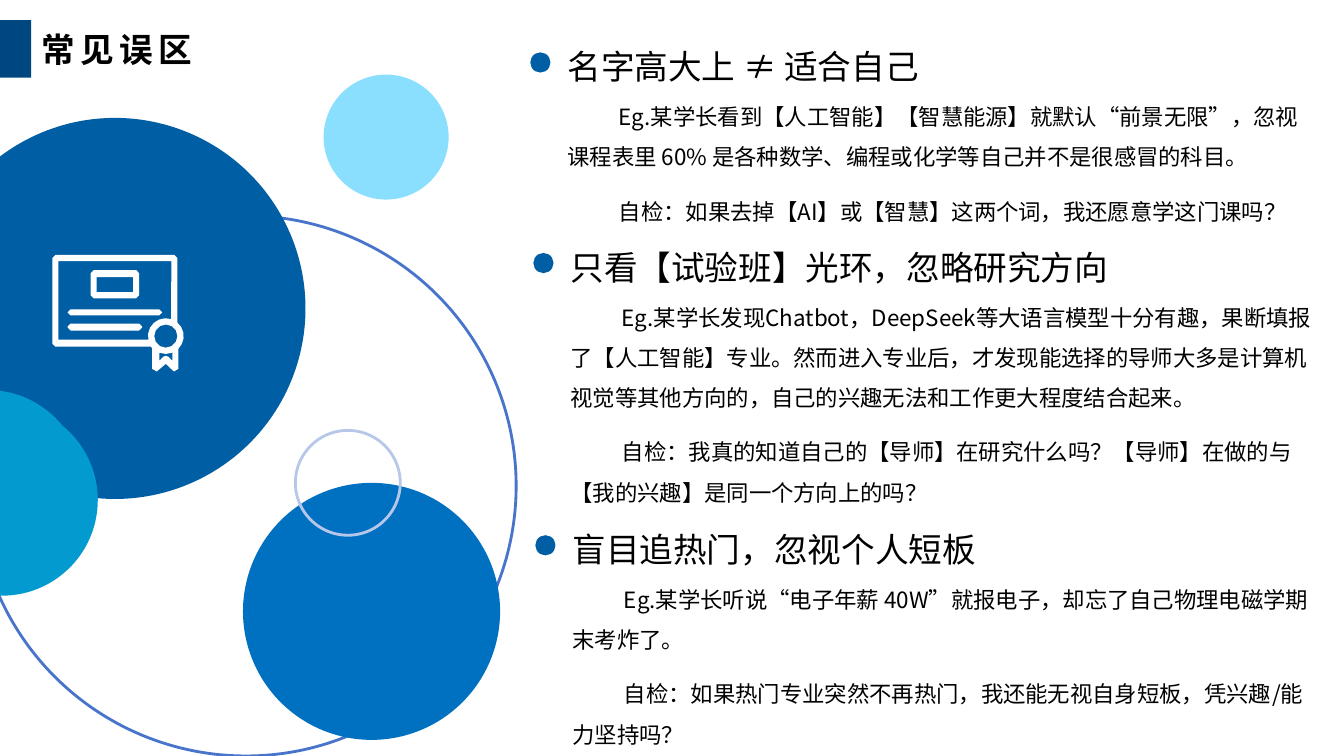
"""Builds the slide on common mistakes when choosing a major."""
from math import cos, radians, sin

from lxml import etree
from pptx import Presentation
from pptx.dml.color import RGBColor
from pptx.enum.shapes import MSO_SHAPE
from pptx.enum.text import MSO_ANCHOR
from pptx.oxml.ns import qn
from pptx.util import Pt

OVAL = MSO_SHAPE.OVAL
RECTANGLE = MSO_SHAPE.RECTANGLE
MIDDLE = MSO_ANCHOR.MIDDLE
PX = 9144
FONT = "Noto Sans CJK SC"
COLORS = {
    "black": "000000", "white": "FFFFFF", "navy": "00467F", "deep": "005EA4",
    "blue": "0070C0", "sky": "89DFFD", "cyan": "039ACF",
    "ring": "4874CB", "pale": "B6C7EA",
}


def add_text(shapes, text, left, top, width, height, size=16, bold=False,
             spacing=None, anchor=None, indent=0, line=None, gap=0):
    """Add a text box with one paragraph per line of text."""
    box = shapes.add_textbox(left * PX, top * PX, width * PX, height * PX)
    frame = box.text_frame
    frame.word_wrap = True
    if anchor is not None:
        frame.vertical_anchor = anchor
    for number, words in enumerate(text.split("\n")):
        para = frame.add_paragraph() if number else frame.paragraphs[0]
        para.space_before = Pt(gap if number else 0)
        if line:
            para.line_spacing = line
        if indent:
            para._p.get_or_add_pPr().set("indent", str(indent * PX))
        span = para.add_run()
        span.text = words
        span.font.name = FONT
        span.font.size = Pt(size)
        span.font.bold = bold
        span.font.color.rgb = RGBColor.from_string(COLORS["black"])
        properties = span._r.get_or_add_rPr()
        etree.SubElement(properties, qn("a:ea")).set("typeface", FONT)
        if spacing:
            properties.set("spc", str(spacing * 100))


def arc(x, y, radius, start, end):
    """Return points about 6 px apart along an arc, with angles in degrees."""
    sweep = radians(end - start)
    steps = max(1, round(abs(sweep) * radius / 6))
    angles = [radians(start) + sweep * step / steps for step in range(steps + 1)]
    return [(x + radius * cos(a), y + radius * sin(a)) for a in angles]


deck = Presentation()
deck.slide_width, deck.slide_height = 1333 * PX, 750 * PX
page = deck.slides.add_slide(deck.slide_layouts[6])

circles = [
    (-24, 214, 536, None, "ring"),
    (-75, 117, 378, "deep", None),
    (241, 479, 255, "blue", None),
    (321, 74, 124, "sky", None),
    (293, 427, 104, None, "pale"),
    (-107, 387, 190, "cyan", None),
    (-93, 401, 190, "cyan", None),
]
plain = [(page.shapes, OVAL, x, y, size, size, fill, line)
         for x, y, size, fill, line in circles]
plain.append((page.shapes, RECTANGLE, 0, 20, 31, 57, "navy", None))

sections = [
    (553, 41, 401, "名字高大上 ≠ 适合自己",
     "Eg.某学长看到【人工智能】【智慧能源】就默认“前景无限”，忽视课程表里 60% 是各种数学、编程或化学等自己并不是很感冒的科目。\n"
     "自检：如果去掉【AI】或【智慧】这两个词，我还愿意学这门课吗？"),
    (556, 240, 693, "只看【试验班】光环，忽略研究方向",
     "Eg.某学长发现Chatbot，DeepSeek等大语言模型十分有趣，果断填报了【人工智能】专业。然而进入专业后，才发现能选择的导师大多是计算机视觉等其他方向的，自己的兴趣无法和工作更大程度结合起来。\n"
     "自检：我真的知道自己的【导师】在研究什么吗？【导师】在做的与【我的兴趣】是同一个方向上的吗？"),
    (558, 520, 495, "盲目追热门，忽视个人短板",
     "Eg.某学长听说“电子年薪 40W”就报电子，却忘了自己物理电磁学期末考炸了。\n"
     "自检：如果热门专业突然不再热门，我还能无视自身短板，凭兴趣/能力坚持吗？"),
]
for left, top, width, heading, body in sections:
    group = page.shapes.add_group_shape()
    add_text(group.shapes, body, left, top + 43, 763, 129,
             indent=51, line=1.5, gap=10)
    add_text(group.shapes, heading, left, top, width, 43, size=24)
    plain.append((group.shapes, OVAL, left - 27, top + 11, 20, 20, "deep", None))

for shapes, kind, left, top, width, height, fill, line in plain:
    shape = shapes.add_shape(kind, left * PX, top * PX, width * PX, height * PX)
    shape.shadow.inherit = False
    if fill:
        shape.fill.solid()
        shape.fill.fore_color.rgb = RGBColor.from_string(COLORS[fill])
    else:
        shape.fill.background()
    if line:
        shape.line.color.rgb = RGBColor.from_string(COLORS[line])
        shape.line.width = Pt(2)
    else:
        shape.line.fill.background()

add_text(page.shapes, "常见误区", 31, 20, 1302, 57, size=24, bold=True,
         spacing=4, anchor=MIDDLE)

seal = (164.5, 333.5)
contours = [
    arc(55, 256, 3, 180, 270) + arc(173, 256, 3, 270, 360)
    + arc(*seal, 17.7, -50, 45) + arc(174, 366, 3, 0, 120) + [(164.5, 361)]
    + arc(154, 366, 3, 60, 180) + [(151, 346), (150, 344)]
    + arc(55, 341, 3, 90, 180),
    [(170, 259), (58, 259), (58, 337)] + arc(*seal, 17.7, 169, 287),
    arc(*seal, 11.5, 330, 0),
    arc(*seal, 17.7, 68, 111) + [(158, 358), (162, 354)]
    + [(164.5, 353), (167, 354), (171, 358)],
    [(96, 275), (96, 290), (132, 290), (132, 275)],
]
for left, top, right, bottom in [(67, 307, 161, 313), (67, 321, 141, 328),
                                 (90, 268, 138, 296)]:
    contours.append(arc(left + 3, top + 3, 3, 180, 270)
                    + arc(right - 3, top + 3, 3, 270, 360)
                    + arc(right - 3, bottom - 3, 3, 0, 90)
                    + arc(left + 3, bottom - 3, 3, 90, 180))
builder = page.shapes.build_freeform(52 * PX, 256 * PX)
for number, contour in enumerate(contours):
    points = [(round(x * PX), round(y * PX)) for x, y in contour]
    if number:
        builder.move_to(*points[0])
    builder.add_line_segments(points[1:], close=True)
certificate = builder.convert_to_shape()
certificate.shadow.inherit = False
certificate.fill.solid()
certificate.fill.fore_color.rgb = RGBColor.from_string(COLORS["white"])
certificate.line.fill.background()

deck.save("out.pptx")
